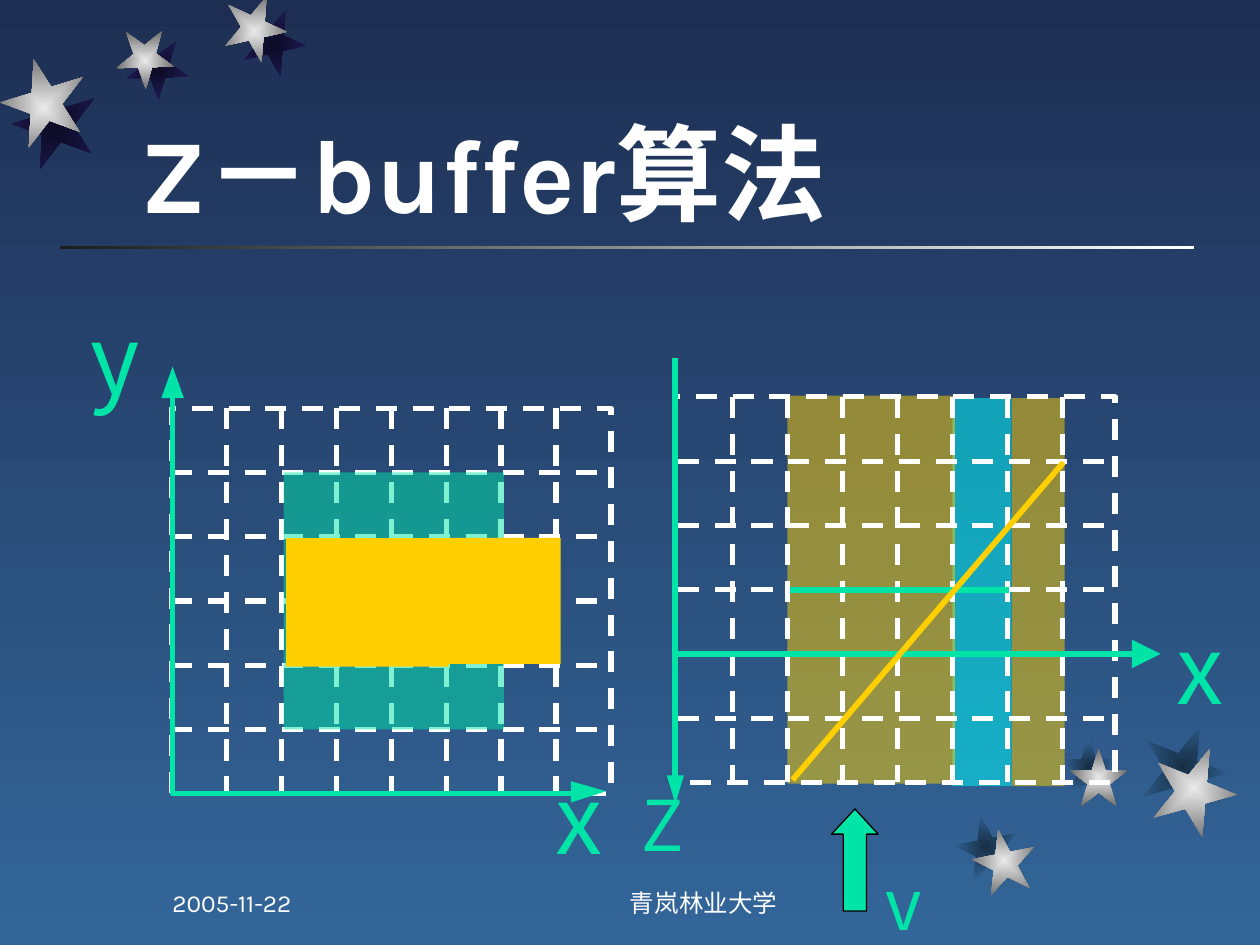
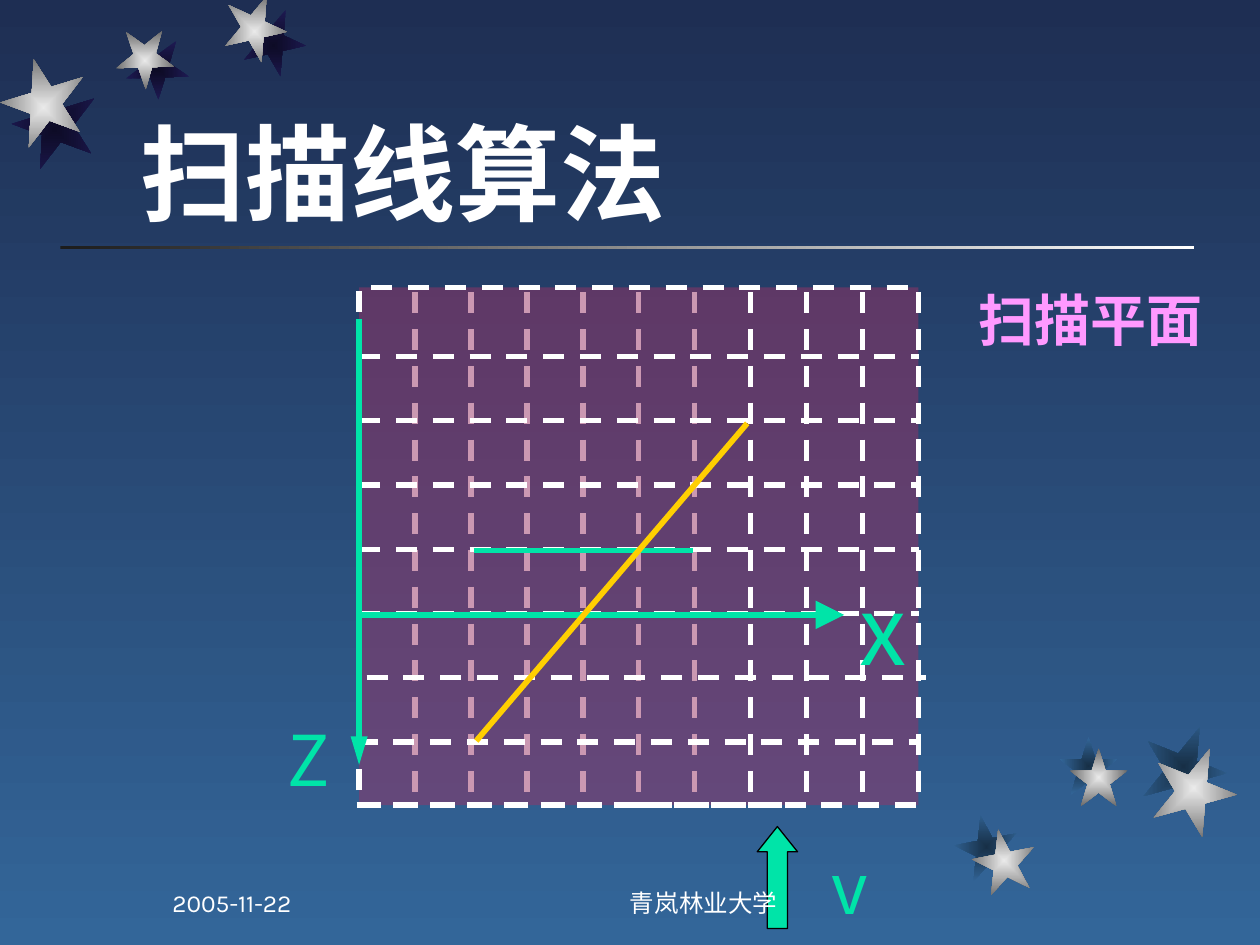
import pptx
import pptx.dml.color
import pptx.enum.dml
import pptx.enum.shapes
import pptx.enum.text
import pptx.oxml.ns
import pptx.util

Inches = pptx.util.Inches
SHAPE = pptx.enum.shapes.MSO_SHAPE
ANCHOR = pptx.enum.text.MSO_ANCHOR
ALIGN = pptx.enum.text.PP_ALIGN
FIT = pptx.enum.text.MSO_AUTO_SIZE
qn = pptx.oxml.ns.qn

COLORS = {
    "sky_top": "1E2E53", "sky_bottom": "336699",
    "white": "FFFFFF", "ink": "1C1C1C", "black": "000000",
    "star_light": "EAEAEA", "star_dark": "6B6B6B",
    "night_dark": "0D0B26", "night_light": "1E1A53", "dusk": "172F46",
    "green": "00E4A8", "yellow": "FFCF01", "cyan": "00FFFF",
    "plum": "993366", "pink": "FF99FF",
}
FONTS = {
    "title": {"name": "Karla", "size": 60, "bold": True, "color": "white"},
    "footer": {"name": "Karla", "size": 14, "color": "white"},
    "axis": {"name": "Noto Sans CJK SC", "size": 54, "color": "green"},
    "small_axis": {"name": "Noto Sans CJK SC", "size": 40, "color": "green"},
    "plane": {"name": "Times New Roman", "size": 32, "bold": True, "color": "pink"},
}
DASHED = {"color": "white", "width": 3, "dash": True}
AXIS = {"color": "green", "width": 3.25}
SLANT = {"color": "yellow", "width": 3.25}
MARGINS = (0.1, 0.05, 0.1, 0.05)

# Each star: shadow left, top and width, then star left, top, size and rotation
TOP_STARS = [
    (1.92, 0.11, 0.5, 1.77, 0, 0.5, 167.3),
    (1, 0.33, 0.5, 0.92, 0.25, 0.46, 178.3),
    (0.1, 0.69, 0.67, 0.01, 0.52, 0.67, 200.3),
]
BOTTOM_STARS = [
    (7.58, 6.47, 0.5, 7.72, 6.58, 0.5, 349),
    (8.41, 5.85, 0.46, 8.49, 5.94, 0.46, 0),
    (9.06, 5.75, 0.67, 9.14, 5.92, 0.67, 22),
]


def rgb(name):
    return pptx.dml.color.RGBColor.from_string(COLORS[name])


def add_xml(parent, tag, **attributes):
    child = parent.makeelement(qn(tag), attributes)
    parent.append(child)
    return child


def set_gradient(fill, names, angle=0):
    fill.gradient()
    fill.gradient_angle = angle
    for stop, name in zip(fill.gradient_stops, names):
        stop.color.rgb = rgb(name)


def set_line(line, color, width, dash=False):
    line.color.rgb = rgb(color)
    line.width = pptx.util.Pt(width)
    if dash:
        line.dash_style = pptx.enum.dml.MSO_LINE.DASH


def set_solid(sp, color=None, alpha=None, line=None):
    """Give a shape a plain fill, if any, with alpha in percent, and an outline, if any."""
    sp.shadow.inherit = False
    if color:
        sp.fill.solid()
        sp.fill.fore_color.rgb = rgb(color)
        if alpha:
            solid = sp._element.spPr.find(qn("a:solidFill"))
            add_xml(solid.find(qn("a:srgbClr")), "a:alpha", val=str(alpha * 1000))
    else:
        sp.fill.background()
    if line:
        set_line(sp.line, **line)
    else:
        sp.line.fill.background()


def add_box(s, box, kind=SHAPE.RECTANGLE, **style):
    sp = s.shapes.add_shape(kind, *map(Inches, box))
    set_solid(sp, **style)
    return sp


def add_line(s, x1, y1, x2, y2, style, head_width=None):
    """Draw a line; head_width ("med" or "lg") puts a long arrowhead at its end."""
    c = s.shapes.add_connector(pptx.enum.shapes.MSO_CONNECTOR.STRAIGHT,
                               *map(Inches, (x1, y1, x2, y2)))
    set_line(c.line, **style)
    spPr = c._element.spPr
    if head_width:
        add_xml(spPr.find(qn("a:ln")), "a:tailEnd", type="triangle", w=head_width, len="lg")
    add_xml(spPr, "a:effectLst")


def add_outline(s, points, close, **style):
    """Draw a freeform through points in inches, kept to a hundredth."""
    start, *rest = [(round(x * 100), round(y * 100)) for x, y in points]
    fb = s.shapes.build_freeform(*start, scale=Inches(0.01))
    fb.add_line_segments(rest, close=close)
    set_solid(fb.convert_to_shape(), **style)


def add_text(s, box, text, font, margins=(0, 0, 0, 0), wrap=False,
             anchor=ANCHOR.TOP, align=ALIGN.LEFT):
    tf = s.shapes.add_textbox(*map(Inches, box)).text_frame
    sides = ("margin_left", "margin_top", "margin_right", "margin_bottom")
    frame = dict(zip(sides, map(Inches, margins)), word_wrap=wrap, vertical_anchor=anchor,
                 auto_size=FIT.NONE if wrap else FIT.SHAPE_TO_FIT_TEXT)
    for key, value in frame.items():
        setattr(tf, key, value)
    p = tf.paragraphs[0]
    p.alignment = align
    r = p.add_run()
    r.text = text
    values = dict(FONTS[font])
    r.font.color.rgb = rgb(values.pop("color"))
    values["size"] = pptx.util.Pt(values["size"])
    for key, value in values.items():
        setattr(r.font, key, value)


def add_star(s, x, y, w, h, rotation, names):
    sp = add_box(s, (x, y, w, h), SHAPE.STAR_5_POINT)
    sp.rotation = rotation
    set_gradient(sp.fill, names)
    grad = sp._element.spPr.find(qn("a:gradFill"))
    grad.remove(grad.find(qn("a:lin")))
    shade = add_xml(grad, "a:path", path="rect")
    add_xml(shade, "a:fillToRect", **{side: "50000" for side in "ltrb"})


def add_stars(s, stars, shadow):
    for x, y, w, _, _, size, rotation in stars:
        add_star(s, x, y, w, size, rotation, shadow)
    for _, _, _, x, y, size, rotation in stars:
        add_star(s, x, y, size, size, rotation, ("star_light", "star_dark"))


def add_base(prs, title):
    """Add a slide with the shared sky, rule, stars and title."""
    s = prs.slides.add_slide(prs.slide_layouts[6])
    set_gradient(s.background.fill, ("sky_top", "sky_bottom"), 270)
    rule = add_box(s, (0.48, 1.95, 9, 0.03))
    set_gradient(rule.fill, ("ink", "white"))
    add_stars(s, TOP_STARS, ("night_dark", "night_light"))
    add_stars(s, BOTTOM_STARS, ("dusk", "sky_bottom"))
    add_text(s, (1.02, 0.31, 7.27, 1.6), title, "title", MARGINS, True, ANCHOR.BOTTOM)
    return s


def add_footer(s):
    style = {"font": "footer", "margins": MARGINS, "wrap": True, "anchor": ANCHOR.BOTTOM}
    add_text(s, (4, 6.83, 3.17, 0.5), "青岚林业大学", align=ALIGN.CENTER, **style)
    add_text(s, (1.27, 6.83, 2.08, 0.5), "2005-11-22", **style)


def add_columns(s, x, step, numbers, top, bottom):
    for i in numbers:
        add_line(s, x + i * step, top, x + i * step, bottom, DASHED)


def add_rows(s, y, step, numbers, left, right):
    for i in numbers:
        add_line(s, left, y + i * step, right, y + i * step, DASHED)


def add_grid(s, x, y, shift=0):
    """Draw 8 by 6 dashed cells; shift moves the inner lines to the right."""
    w, h, cols, rows = 3.49, 3.06, 8, 6
    add_box(s, (x, y, w, h), line=DASHED)
    add_rows(s, y, h / rows, range(1, rows), x + shift, x + shift + w)
    add_columns(s, x + shift, w / cols, range(1, cols), y, y + h)


def add_depth_axes(s, x, y):
    """Draw the x and z axes with the edges of both faces, from the top of the z axis."""
    add_line(s, x + 0.01, y, x + 0.01, y + 3.54, AXIS, "med")
    add_line(s, x, y + 2.35, x + 3.86, y + 2.35, AXIS, "lg")
    add_line(s, x + 0.92, y + 1.84, x + 2.66, y + 1.84, AXIS)
    add_line(s, x + 0.94, y + 3.35, x + 3.09, y + 0.83, SLANT)


def add_viewer(s, x, y, w, label_x, label_y):
    """Draw the viewing arrow, whose head is 0.2 inches long, and its letter."""
    sp = add_box(s, (x, y, w, 0.81), SHAPE.UP_ARROW, color="green",
                 line={"color": "black", "width": 0.75})
    sp.adjustments[0] = 0.5
    sp.adjustments[1] = 0.2 / w
    add_text(s, (label_x, label_y, 0.28, 0.67), "v", "small_axis")


def add_front_view(s, x, y):
    """Draw the x-y view; x and y are the top left of its grid."""
    add_grid(s, x, y)
    add_box(s, (x + 0.89, y + 0.51, 1.75, 2.04), color="green", alpha=50)
    add_text(s, (x - 0.64, y - 0.86, 0.38, 0.9), "y", "axis")
    add_text(s, (x + 3.05, y + 2.79, 0.4, 0.9), "x", "axis")
    ox, oy = x + 0.01, y + 3.06
    add_outline(s, [(ox + 3.24, oy), (ox, oy), (ox, oy - 3.15)], False,
                line={"color": "green", "width": 3})
    add_outline(s, [(ox + 3.16, oy - 0.1), (ox + 3.44, oy - 0.02), (ox + 3.16, oy + 0.07)],
                True, color="green")
    add_outline(s, [(ox - 0.09, oy - 3.14), (ox, oy - 3.39), (ox + 0.09, oy - 3.14)],
                True, color="green")
    for left, w, h in [(0.91, 1.29, 1.02), (2.19, 0.45, 1), (2.63, 0.46, 1)]:
        add_box(s, (x + left, y + 1.03, w, h), color="yellow")


def add_depth_view(s, x, y):
    """Draw the x-z view; x and y are the top left of its grid."""
    for left, top, w, color in [(2.2, 0.01, 0.47, "cyan"), (2.67, 0.01, 0.42, "yellow"),
                                (0.89, -0.01, 1.33, "yellow")]:
        add_box(s, (x + left, y + top, w, 3.08), color=color, alpha=50)
    add_grid(s, x, y, shift=0.02)
    add_text(s, (x - 0.27, y + 3.05, 0.32, 0.67), "Z", "small_axis")
    add_text(s, (x + 3.98, y + 1.69, 0.4, 0.9), "x", "axis")
    add_depth_axes(s, x - 0.01, y - 0.31)


def add_scan_plane(s, x, y):
    """Draw the scan plane; x and y are its top left."""
    w, h, step = 4.44, 4.11, 4.44 / 10
    top, bottom = y + 0.04, y + 4.12
    add_columns(s, x, step, range(1, 7), top, bottom)
    add_box(s, (x, y, w, h), color="plum", alpha=50, line=DASHED)
    add_columns(s, x, step, (7, 9, 10), top, bottom)
    add_line(s, x - 0.02, y + h, x + 3.54, y + h, DASHED)
    for numbers, shift in [(range(1, 6), 0), ((7,), -0.02), ((6,), 0.06)]:
        add_rows(s, top, 0.51, numbers, x + shift, x + w + shift)
    add_text(s, (x - 0.57, y + 3.41, 0.32, 0.67), "Z", "small_axis")
    add_text(s, (x + 3.97, y + 2.25, 0.4, 0.9), "x", "axis")
    add_depth_axes(s, x - 0.01, y + 0.25)
    add_columns(s, x, step, (8,), top, bottom)


def build_z_buffer(prs):
    s = add_base(prs, "Z－buffer算法")
    add_front_view(s, 1.36, 3.24)
    add_depth_view(s, 5.36, 3.15)
    add_viewer(s, 6.6, 6.42, 0.37, 7.03, 6.83)
    add_footer(s)


def build_scan_line(prs):
    s = add_base(prs, "扫描线算法")
    add_scan_plane(s, 2.85, 2.28)
    add_text(s, (7.67, 2.22, 1.98, 0.64), "扫描平面", "plane", MARGINS)
    add_viewer(s, 6.01, 6.56, 0.32, 6.6, 6.7)
    add_footer(s)


def main():
    prs = pptx.Presentation()
    prs.slide_width, prs.slide_height = Inches(10), Inches(7.5)
    build_z_buffer(prs)
    build_scan_line(prs)
    prs.save("out.pptx")


if __name__ == "__main__":
    main()
